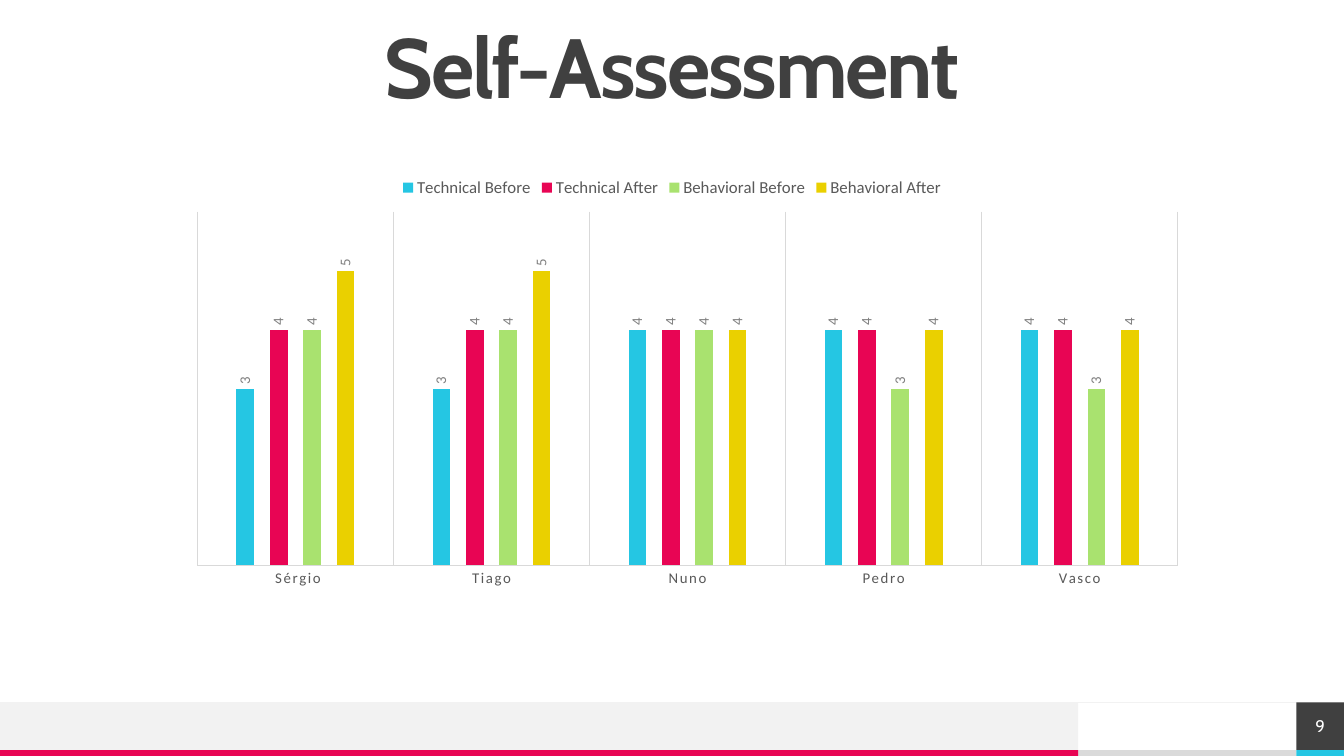
"""Build the self-assessment slide: a clustered column chart over a footer band."""
from pptx import Presentation, util as u
from pptx.chart.data import CategoryChartData
from pptx.dml.color import RGBColor
from pptx.enum import chart as c, shapes, text
from pptx.oxml import parse_xml
from pptx.oxml.ns import nsdecls, qn

COLORS = {
    "dark": "404040", "white": "FFFFFF", "band": "F2F2F2", "strip": "DADADA",
    "axis": "D9D9D9", "label": "595959", "value": "808080",
    "cyan": "25C6E3", "pink": "E80554", "green": "A9E26F", "yellow": "EAD000",
}
TITLE = "Self-Assessment"
PAGE_NUMBER = "9"
PEOPLE = [" Sérgio", "Tiago", "Nuno", "Pedro", "Vasco"]
SCORES = [
    ("Technical Before", "cyan", (3, 3, 4, 4, 4)),
    ("Technical After", "pink", (4, 4, 4, 4, 4)),
    ("Behavioral Before", "green", (4, 4, 4, 3, 3)),
    ("Behavioral After", "yellow", (5, 5, 4, 4, 4)),
]
PLOT_AREA = {"x": 0.12, "y": 0.088, "w": 0.785, "h": 0.686}

WIDTH, HEIGHT = 33.87, 19.05
MARGIN = 1.2
BAND_TOP, STRIP_TOP = 17.7, 18.9
BAND_END, NUMBER_LEFT = 27.17, 32.67
FOOTER = [
    (BAND_END, STRIP_TOP, NUMBER_LEFT, HEIGHT, "strip"),
    (0, BAND_TOP, BAND_END, STRIP_TOP, "band"),
    (0, STRIP_TOP, BAND_END, HEIGHT, "pink"),
    (NUMBER_LEFT, STRIP_TOP, WIDTH, HEIGHT, "cyan"),
]


def rgb(name):
    return RGBColor.from_string(COLORS[name])


def style_font(font, size, color, name="Calibri", bold=False):
    font.size, font.name, font.bold = u.Pt(size), name, bold
    font.color.rgb = rgb(color)


def write(shape, words, size, color, bold=False, tracking=0, line_spacing=1.0):
    frame = shape.text_frame
    frame.margin_left = frame.margin_right = frame.margin_top = frame.margin_bottom = 0
    frame.word_wrap = True
    frame.auto_size = text.MSO_AUTO_SIZE.NONE
    frame.vertical_anchor = text.MSO_ANCHOR.MIDDLE
    para = frame.paragraphs[0]
    para.alignment = text.PP_ALIGN.CENTER
    para.line_spacing = line_spacing
    span = para.add_run()
    span.text = words
    style_font(span.font, size, color, "Cabin", bold)
    span.font._element.set("spc", str(tracking))


def add_block(page, left, top, right, bottom, color):
    block = page.shapes.add_shape(
        shapes.MSO_SHAPE.RECTANGLE,
        u.Cm(left), u.Cm(top), u.Cm(right - left), u.Cm(bottom - top))
    block.shadow.inherit = False
    block.fill.solid()
    block.fill.fore_color.rgb = rgb(color)
    block.line.fill.background()
    return block


def add_footer(page):
    for block in FOOTER:
        add_block(page, *block)
    rule = page.shapes.add_connector(
        shapes.MSO_CONNECTOR.STRAIGHT,
        u.Cm(WIDTH), u.Cm(BAND_TOP), u.Cm(0), u.Cm(BAND_TOP))
    rule.line.color.rgb = rgb("band")
    rule.line.width = u.Pt(0.5)
    rule._element.spPr.append(parse_xml(f"<a:effectLst {nsdecls('a')}/>"))
    number = add_block(page, NUMBER_LEFT, BAND_TOP, WIDTH, STRIP_TOP, "dark")
    write(number, PAGE_NUMBER, 12, "white")


def place_plot(chart):
    area = chart._chartSpace.chart.plotArea
    for layout in area.findall(qn("c:layout")):
        area.remove(layout)
    sizes = "".join(f'<c:{key} val="{val}"/>' for key, val in PLOT_AREA.items())
    area.insert(0, parse_xml(
        f'<c:layout {nsdecls("c")}><c:manualLayout><c:layoutTarget val="inner"/>'
        f'<c:xMode val="edge"/><c:yMode val="edge"/>{sizes}'
        '</c:manualLayout></c:layout>'))


def add_score_chart(page):
    data = CategoryChartData(number_format="General")
    data.categories = PEOPLE
    for name, _, values in SCORES:
        data.add_series(name, values)
    chart = page.shapes.add_chart(
        c.XL_CHART_TYPE.COLUMN_CLUSTERED, u.Cm(MARGIN), u.Cm(4.19),
        u.Cm(WIDTH - 2 * MARGIN), u.Cm(13), data).chart
    chart.has_title = False
    chart.font.size, chart.font.name = u.Pt(10), "Calibri"
    chart.has_legend = True
    chart.legend.position = c.XL_LEGEND_POSITION.TOP
    chart.legend.include_in_layout = False
    style_font(chart.legend.font, 12, "label")
    place_plot(chart)

    people = chart.category_axis
    people.major_tick_mark = c.XL_TICK_MARK.NONE
    people.has_major_gridlines = True
    for line in (people.format.line, people.major_gridlines.format.line):
        line.color.rgb = rgb("axis")
        line.width = u.Pt(0.75)
    style_font(people.tick_labels.font, 10.6, "label")
    people.tick_labels.font._element.set("spc", "120")

    scale = chart.value_axis
    scale.minimum_scale, scale.maximum_scale = 0, 6
    scale.has_major_gridlines = False
    scale.visible = False

    plot = chart.plots[0]
    plot.gap_width, plot.overlap = 444, -90
    plot.vary_by_categories = False
    for series, (_, color, _) in zip(plot.series, SCORES):
        series.format.fill.solid()
        series.format.fill.fore_color.rgb = rgb(color)
        labels = series.data_labels
        labels.show_value = True
        labels.position = c.XL_LABEL_POSITION.OUTSIDE_END
        style_font(labels.font, 10.6, "value")
        body = labels._element.find(".//" + qn("a:bodyPr"))
        body.set("rot", "-5400000")
        body.set("vert", "horz")


def main():
    deck = Presentation()
    deck.slide_width, deck.slide_height = u.Cm(WIDTH), u.Cm(HEIGHT)
    page = deck.slides.add_slide(deck.slide_layouts[5])
    add_footer(page)
    title = page.shapes.title
    title.left, title.top = u.Cm(MARGIN), u.Cm(MARGIN)
    title.width, title.height = u.Cm(WIDTH - 2 * MARGIN), u.Cm(1.2)
    write(title, TITLE, 60, "dark", bold=True, tracking=-150, line_spacing=0.9)
    add_score_chart(page)
    deck.save("out.pptx")


if __name__ == "__main__":
    main()
